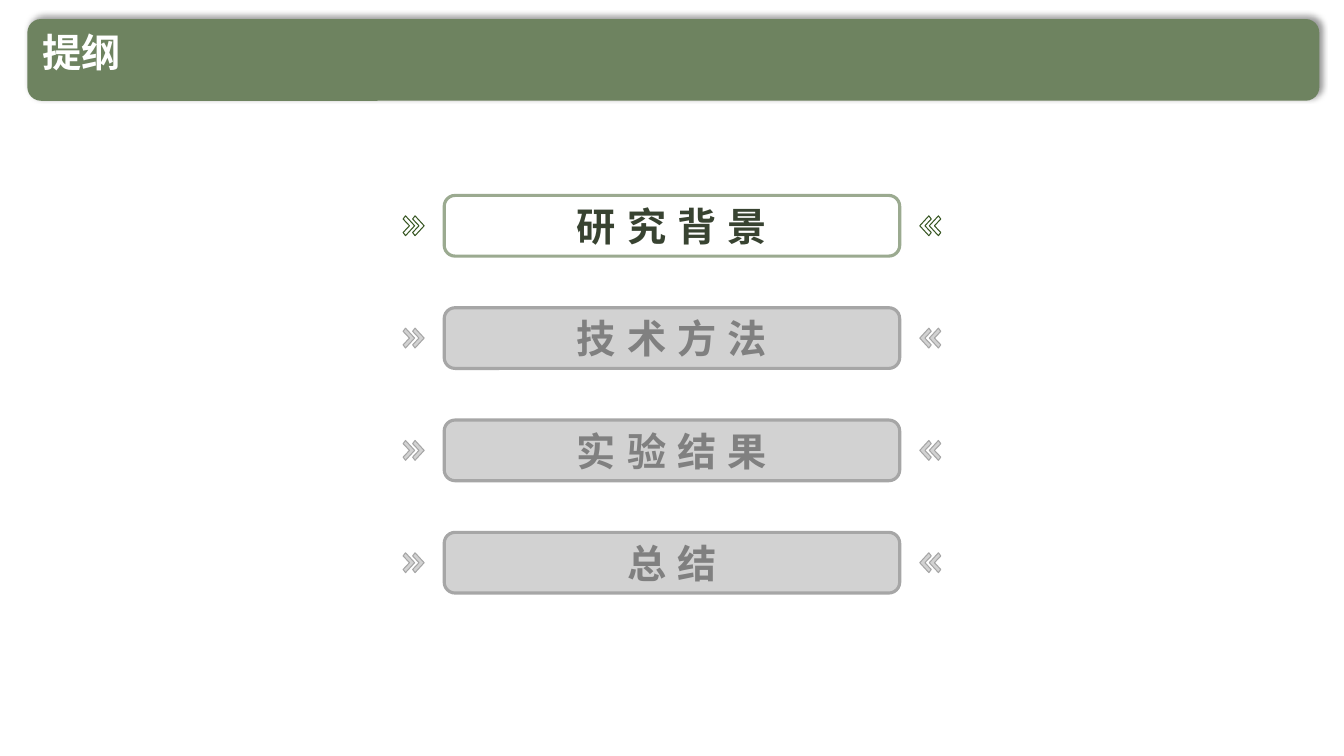
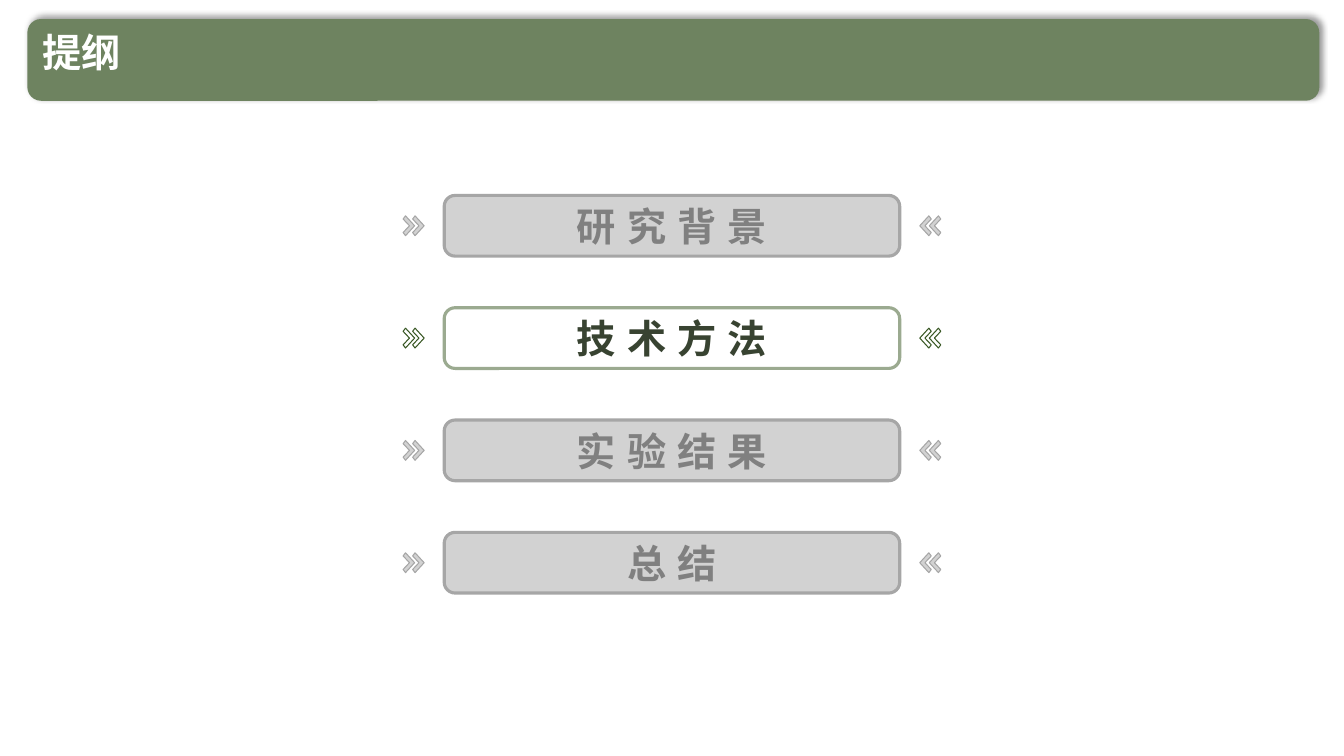
from dataclasses import dataclass
from typing import Optional

from lxml.etree import SubElement as Sub
from pptx import Presentation
from pptx.dml.color import RGBColor as Rgb
from pptx.enum.shapes import MSO_SHAPE as Kind
from pptx.enum.text import MSO_ANCHOR as Anchor, MSO_AUTO_SIZE as Fit, PP_ALIGN as Align
from pptx.oxml.ns import qn
from pptx.util import Cm, Pt

# Colours and font
GREEN = Rgb(0x6E, 0x83, 0x60)
SAGE = Rgb(0x9B, 0xAA, 0x90)
MOSS = Rgb(0x38, 0x57, 0x23)
DARK = Rgb(0x38, 0x43, 0x31)
GREY = Rgb(0xA6, 0xA6, 0xA6)
DIM = Rgb(0x80, 0x80, 0x80)
BLACK = Rgb(0, 0, 0)
WHITE = Rgb(0xFF, 0xFF, 0xFF)
FONT = "Noto Sans CJK SC"

# Measures in centimetres
WIDE, HIGH = 33.87, 19.05
BOX_W, BOX_H = 11.48, 1.53
FIRST, PITCH = 5.69, 2.83  # middle of the top row, row to row
MARKS = (10.16, 10.4)  # left edges of the two chevrons
CHEVRON = ((0.06, -0.25), (0, -0.17), (0.16, 0), (0, 0.17), (0.06, 0.25), (0.29, 0))

TOPICS = ("研究背景", "技术方法", "实验结果", "总结")


@dataclass(frozen=True)
class Look:
    fill: Optional[Rgb]
    edge: Rgb
    mark: Rgb
    text: Rgb


LIVE = Look(None, SAGE, MOSS, DARK)
IDLE = Look(GREY, GREY, GREY, DIM)


def style(para, color: Rgb, space: int = 0) -> None:
    """Set the shared bold face, with letter spacing in points."""
    font = para.font
    font.size, font.bold, font.name = Pt(28), True, FONT
    font.color.rgb = color
    props = para._p.pPr.find(qn("a:defRPr"))
    props.set("spc", str(space * 100))
    props.find(qn("a:latin")).addnext(props.makeelement(qn("a:ea"), {"typeface": FONT}))


def paint(shape, fill: Optional[Rgb], edge: Rgb, weight: float) -> None:
    """Outline a shape and fill it half clear, or not at all."""
    shape.shadow.inherit = False
    shape.line.color.rgb = edge
    shape.line.width = Pt(weight)
    if fill is None:
        shape.fill.background()
        return
    shape.fill.solid()
    shape.fill.fore_color.rgb = fill
    tint = shape.element.spPr.find(f"{qn('a:solidFill')}/{qn('a:srgbClr')}")
    Sub(tint, qn("a:alpha"), val="50000")


def add_mark(shapes, left: float, mid: float, flip: bool, look: Look) -> None:
    """Draw one chevron; a flipped one is mirrored across the slide."""
    spots = [(left + x, mid + y) for x, y in CHEVRON]
    if flip:
        spots = [(WIDE - x, y) for x, y in spots]
    first, *rest = [(Cm(x), Cm(y)) for x, y in spots]
    pen = shapes.build_freeform(*first)
    pen.add_line_segments(rest, close=True)
    paint(pen.convert_to_shape(), look.fill, look.mark, 0.75)


def add_row(slide, text: str, mid: float, look: Look) -> None:
    """Draw a topic box with its chevrons as one group."""
    shapes = slide.shapes.add_group_shape().shapes
    for flip in (False, True):
        for left in MARKS:
            add_mark(shapes, left, mid, flip, look)
    box = shapes.add_shape(Kind.ROUNDED_RECTANGLE, Cm((WIDE - BOX_W) / 2),
                           Cm(mid - BOX_H / 2), Cm(BOX_W), Cm(BOX_H))
    box.adjustments[0] = 0.18
    paint(box, look.fill, look.edge, 2.25)
    frame = box.text_frame
    frame.vertical_anchor = Anchor.MIDDLE
    para = frame.paragraphs[0]
    para.text, para.alignment = text, Align.CENTER
    style(para, look.text, 8)


def add_band(slide, layout) -> None:
    """Draw the title band and move it to the layout."""
    band = slide.shapes.add_shape(Kind.ROUNDED_RECTANGLE,
                                  Cm(0.69), Cm(0.48), Cm(32.56), Cm(2.06))
    band.fill.solid()
    band.fill.fore_color.rgb = GREEN
    band.line.fill.background()
    band.shadow.inherit = False
    glow = Sub(band.element.spPr.find(qn("a:effectLst")), qn("a:outerShdw"),
               blurRad=str(Pt(4)), dist=str(Pt(3)), dir=str(315 * 60000),
               algn="bl", rotWithShape="0")
    tint = Sub(glow, qn("a:srgbClr"), val=str(BLACK))
    Sub(tint, qn("a:alpha"), val="40000")
    layout.shapes.element.insert(2, band.element)


def set_title(slide, text: str) -> None:
    frame = slide.shapes.title.text_frame
    frame.auto_size, frame.vertical_anchor = Fit.NONE, Anchor.TOP
    para = frame.paragraphs[0]
    para.text, para.alignment, para.line_spacing = text, Align.LEFT, 0.9
    style(para, WHITE)


def main() -> None:
    deck = Presentation()
    deck.slide_width, deck.slide_height = Cm(WIDE), Cm(HIGH)
    layout = deck.slide_layouts[5]

    # Title place shared by all slides
    head = layout.placeholders[0]
    head.left, head.top, head.width, head.height = Cm(0.81), Cm(0.71), Cm(28.12), Cm(1.57)

    # One outline slide for each live topic
    for live in range(2):
        slide = deck.slides.add_slide(layout)
        if live == 0:
            add_band(slide, layout)
        set_title(slide, "提纲")
        for row, topic in enumerate(TOPICS):
            add_row(slide, topic, FIRST + row * PITCH, LIVE if row == live else IDLE)

    deck.save("out.pptx")


if __name__ == "__main__":
    main()
